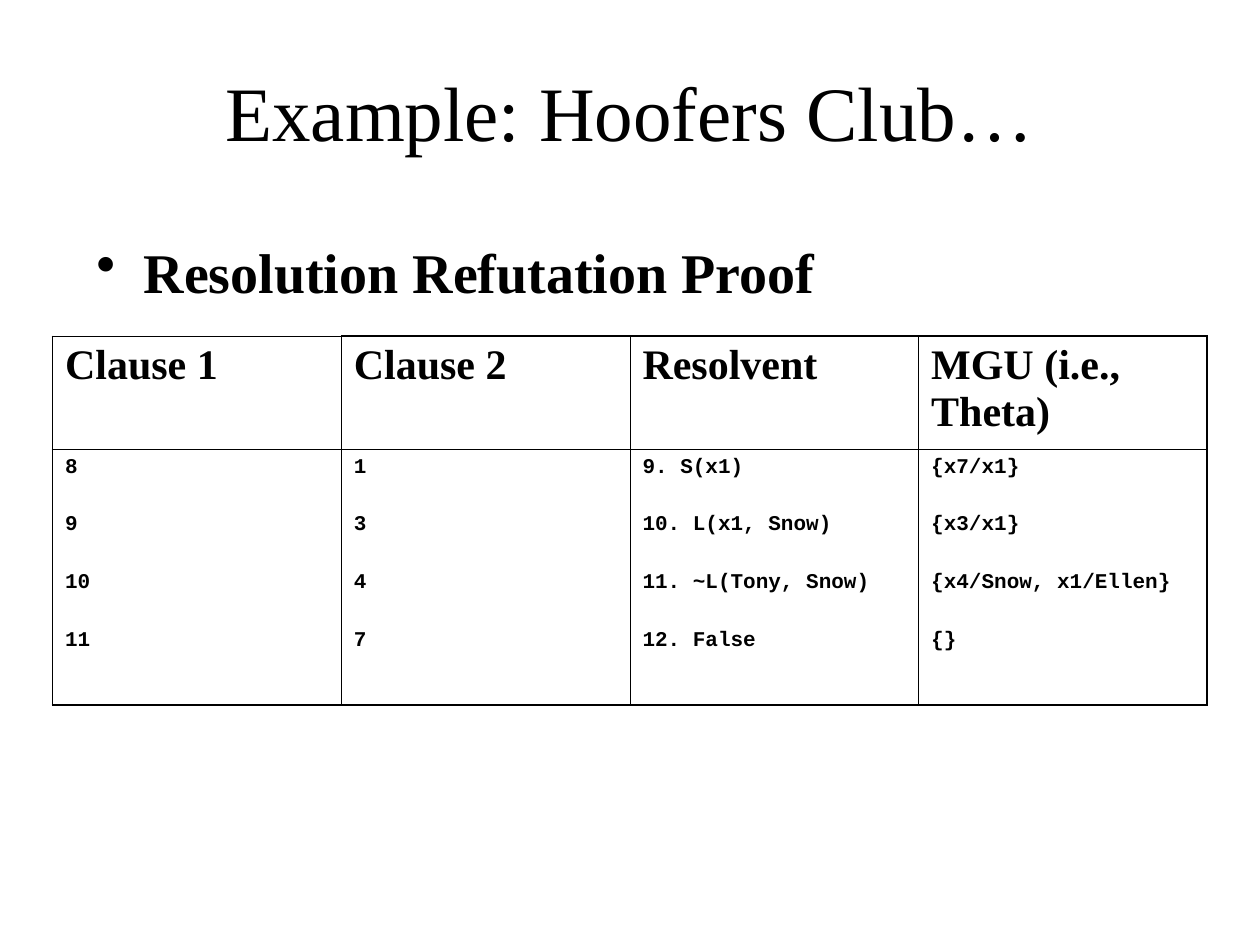
from lxml import etree
from pptx import Presentation
from pptx.dml.color import RGBColor
from pptx.enum import text
from pptx.oxml import ns
from pptx.util import Pt

COLORS = {"ink": "000000"}
SERIF, MONO = "Times New Roman", "Courier New"
THIN, THICK = Pt(0.45), Pt(1.08)


def write(frame, lines, font, gap=0, **para_format):
    """Fill a text frame, one paragraph a line; gap is the space before later lines."""
    frame.word_wrap = True
    for index, line in enumerate(lines):
        para = frame.add_paragraph() if index else frame.paragraphs[0]
        for name, value in para_format.items():
            setattr(para, name, value)
        if index:
            para.space_before = Pt(gap)
        span = para.add_run()
        span.text = line
        for name, value in font.items():
            setattr(span.font, name, value)
        span.font.color.rgb = RGBColor.from_string(COLORS["ink"])


def add_borders(cell, widths):
    """Draw cell borders; widths are in the order left, right, top, bottom."""
    for index, (side, width) in enumerate(zip("LRTB", widths)):
        line = etree.Element(ns.qn(f"a:ln{side}"), w=str(int(width)))
        fill = etree.SubElement(line, ns.qn("a:solidFill"))
        etree.SubElement(fill, ns.qn("a:srgbClr"), val=COLORS["ink"])
        cell._tc.get_or_add_tcPr().insert(index, line)


deck = Presentation()
deck.slide_width, deck.slide_height = Pt(720), Pt(540)
page = deck.slides.add_slide(deck.slide_layouts[6])

# Title
title = page.shapes.add_textbox(Pt(54), Pt(18), Pt(612), Pt(90))
title.text_frame.vertical_anchor = text.MSO_ANCHOR.MIDDLE
write(title.text_frame, ["Example: Hoofers Club…"],
      {"name": SERIF, "size": Pt(44)}, alignment=text.PP_ALIGN.CENTER)

# Bulleted heading
heading = page.shapes.add_textbox(Pt(48), Pt(132), Pt(612), Pt(66))
write(heading.text_frame, ["Resolution Refutation Proof"],
      {"name": SERIF, "size": Pt(32), "bold": True}, space_before=Pt(8))
bullet_format = heading.text_frame.paragraphs[0]._p.get_or_add_pPr()
bullet_format.set("marL", str(Pt(27)))
bullet_format.set("indent", str(-Pt(27)))
etree.SubElement(bullet_format, ns.qn("a:buChar"), char="•")

# Proof table: each column has a header and its four steps
columns = {
    "Clause 1": ["8", "9", "10", "11"],
    "Clause 2": ["1", "3", "4", "7"],
    "Resolvent": ["9. S(x1)", "10. L(x1, Snow)", "11. ~L(Tony, Snow)", "12. False"],
    "MGU (i.e., Theta)": ["{x7/x1}", "{x3/x1}", "{x4/Snow, x1/Ellen}", "{}"],
}
row_heights = [64.8, 146]
proof = page.shapes.add_table(2, len(columns), Pt(30), Pt(192),
                              Pt(660), Pt(sum(row_heights))).table
proof.first_row = proof.horz_banding = False
for row, height in zip(proof.rows, row_heights):
    row.height = Pt(height)

header_font = {"name": SERIF, "size": Pt(24), "bold": True}
step_font = {"name": MONO, "size": Pt(12), "bold": True}
last = len(columns) - 1
for col, (header, steps) in enumerate(columns.items()):
    proof.columns[col].width = Pt(165)
    left = THIN if col else THICK
    right = THICK if col == last else THIN
    top = THICK if col else THIN
    rows = [([header], header_font, 6, (left, right, top, THIN)),
            (steps, step_font, 3, (left, right, THIN, THICK))]
    for row, (lines, font, before, widths) in enumerate(rows):
        cell = proof.cell(row, col)
        cell.fill.background()
        write(cell.text_frame, lines, font, gap=19.4, space_before=Pt(before))
        add_borders(cell, widths)

deck.save("out.pptx")
